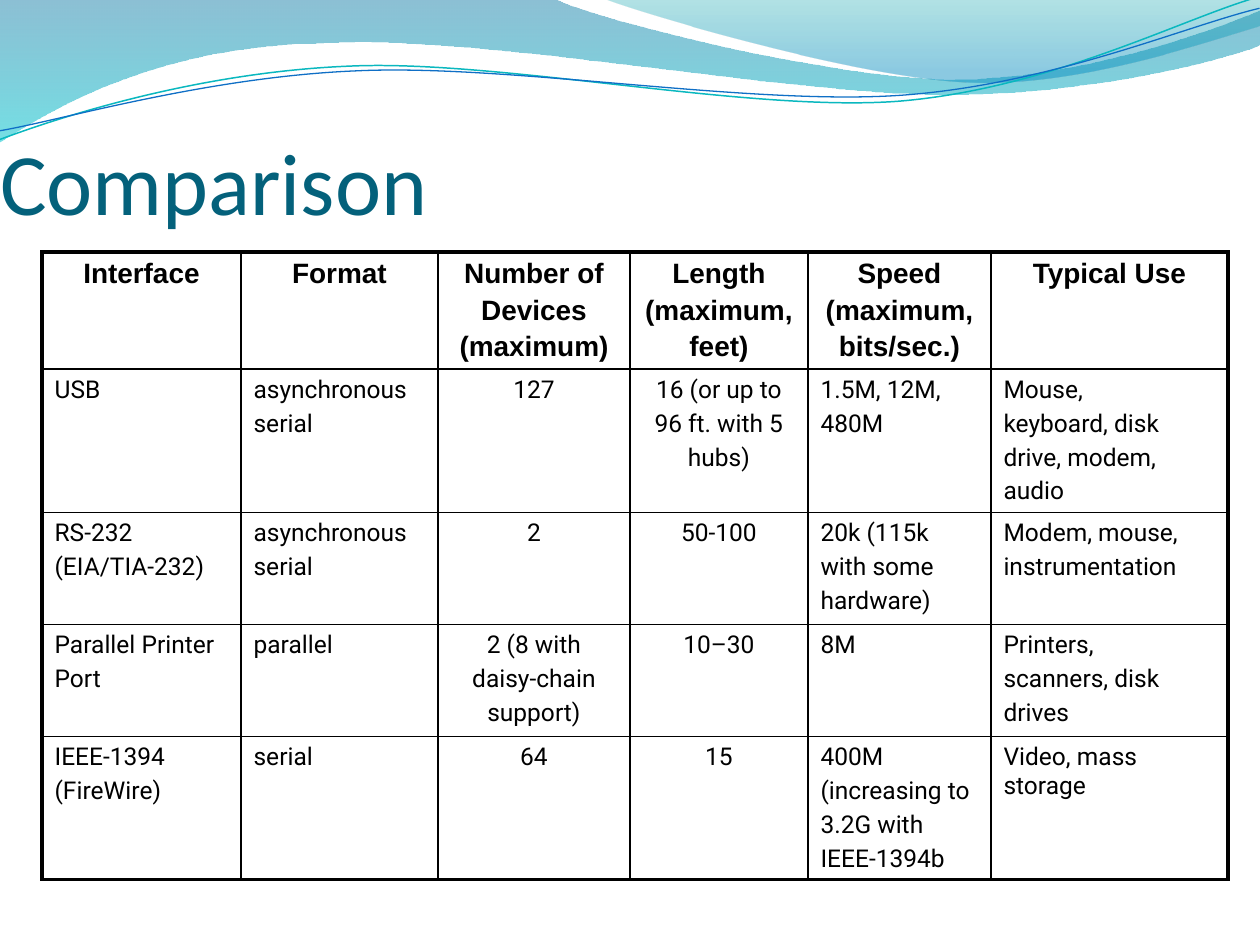
from lxml.etree import SubElement
from math import cos, radians, sin
from pptx import Presentation
from pptx.dml.color import RGBColor
from pptx.enum.text import MSO_ANCHOR, MSO_AUTO_SIZE, PP_ALIGN
from pptx.oxml.ns import qn
from pptx.util import Pt

PX = 914400 / 126
COLORS = {
    "title": "04617B", "ink": "000000", "deep": "0074A1", "aqua": "00C6CF",
    "teal": "00A1A9", "sky": "008BBF", "teal_line": "0AB8BF", "blue_line": "0F6FC6",
}
TILT = 2.7

LOWER_WAVE = [
    (0, 0), (554, -1), (600, 21, 837, 79, 955, 79), (1075, 79, 1207, 33, 1260, 11),
    (1261, 45), (1239, 55, 1096, 96, 940, 94), (784, 94, 481, 35, 324, 43),
    (163, 45, 58, 105, -1, 142), (0, 0),
]
UPPER_WAVE = [
    (604, -1), (641, 14, 859, 78, 969, 82), (1079, 87, 1211, 40, 1260, 26), (1260, 0),
    (604, -1),
]
TEAL_CURVE = [
    (0, 140), (60, 117, 199, 72, 349, 66), (498, 59, 747, 112, 898, 101),
    (1049, 89, 1182, 19, 1257, -3),
]
BLUE_CURVE = [
    (0, 131), (59, 121, 207, 77, 357, 71), (508, 64, 752, 106, 903, 95),
    (1053, 84, 1186, 26, 1260, 8),
]

COLUMN_WIDTHS = [199, 197, 192, 178, 183, 237]
ROW_HEIGHTS = [116, 112, 112, 112, 112]
CENTERED_COLUMNS = (2, 3)
ROWS = [
    ["Interface", "Format", "Number of\nDevices\n(maximum)", "Length\n(maximum,\nfeet)",
     "Speed\n(maximum,\nbits/sec.)", "Typical Use"],
    ["USB", "asynchronous\nserial", "127", "16 (or up to\n96 ft. with 5\nhubs)",
     "1.5M, 12M,\n480M", "Mouse,\nkeyboard, disk\ndrive, modem,\naudio"],
    ["RS-232\n(EIA/TIA-232)", "asynchronous\nserial", "2", "50-100",
     "20k (115k\nwith some\nhardware)", "Modem, mouse,\ninstrumentation"],
    ["Parallel Printer\nPort", "parallel", "2 (8 with\ndaisy-chain\nsupport)", "10–30",
     "8M", "Printers,\nscanners, disk\ndrives"],
    ["IEEE-1394\n(FireWire)", "serial", "64", "15",
     "400M\n(increasing to\n3.2G with\nIEEE-1394b", "Video, mass storage"],
]


def px(length):
    return round(length * PX)


def rgb(name):
    return RGBColor.from_string(COLORS[name])


def turn(points, center, degrees):
    angle = radians(degrees)
    center_x, center_y = center
    return [(center_x + (x - center_x) * cos(angle) - (y - center_y) * sin(angle),
             center_y + (x - center_x) * sin(angle) + (y - center_y) * cos(angle))
            for x, y in points]


class SlideBuilder:
    def __init__(self, slide):
        self.slide = slide

    def style(self, paragraph, font, size, color, align=PP_ALIGN.LEFT, bold=False):
        paragraph.alignment = align
        paragraph.font.name = font
        paragraph.font.size = Pt(size)
        paragraph.font.bold = bold
        paragraph.font.color.rgb = rgb(color)

    def outline(self, segments, close, center=(0, 0), tilt=0):
        points = [pair for segment in segments for pair in zip(segment[::2], segment[1::2])]
        points = turn(points, center, tilt)
        builder = self.slide.shapes.build_freeform(*points[0], scale=PX)
        builder.add_line_segments(points[1:], close=close)
        shape = builder.convert_to_shape()
        shape.shadow.inherit = False
        shape.rotation = -tilt
        outline = next(shape.element.iter(qn("a:pathLst")))[0]
        lines = iter(outline.findall(qn("a:lnTo")))
        for segment in segments[1:]:
            line = next(lines)
            if len(segment) == 6:
                line.tag = qn("a:cubicBezTo")
                for _ in range(2):
                    extra = next(lines)
                    line.append(extra[0])
                    outline.remove(extra)
        return shape

    def wave(self, segments, stops):
        shape = self.outline(segments, True)
        shape.line.fill.background()
        shape.fill.gradient()
        shape.fill.gradient_angle = 270
        for stop, (position, color, _) in zip(shape.fill.gradient_stops, stops):
            stop.position = position
            stop.color.rgb = rgb(color)
        for element, (_, _, opacity) in zip(shape.element.iter(qn("a:srgbClr")), stops):
            SubElement(element, qn("a:alpha"), val=str(opacity * 1000))

    def curve(self, segments, center, color, width):
        shape = self.outline(segments, False, center, TILT)
        shape.fill.background()
        shape.line.color.rgb = rgb(color)
        shape.line.width = Pt(width)

    def title(self, text, left, top, width, height):
        shape = self.slide.shapes.title
        self.slide.shapes.element.append(shape.element)
        shape.left, shape.top, shape.width, shape.height = map(px, (left, top, width, height))
        frame = shape.text_frame
        frame.text = text
        frame.auto_size = MSO_AUTO_SIZE.NONE
        frame.vertical_anchor = MSO_ANCHOR.BOTTOM
        frame.margin_left = frame.margin_right = frame.margin_bottom = 0
        self.style(frame.paragraphs[0], "Calibri", 50, "title")

    def borders(self, cell, widths):
        properties = cell._tc.get_or_add_tcPr()
        for index, (side, width) in enumerate(zip("LRTB", widths)):
            line = SubElement(properties, qn(f"a:ln{side}"), w=str(Pt(width)))
            fill = SubElement(line, qn("a:solidFill"))
            SubElement(fill, qn("a:srgbClr"), val=COLORS["ink"])
            properties.insert(index, line)

    def table(self, rows, left, top, height):
        last_row, last_column = len(rows) - 1, len(rows[0]) - 1
        shape = self.slide.shapes.add_table(
            len(rows), len(rows[0]), px(left), px(top), px(sum(COLUMN_WIDTHS)), px(height))
        table = shape.table
        table.first_row = table.horz_banding = False
        for column, column_width in zip(table.columns, COLUMN_WIDTHS):
            column.width = px(column_width)
        for row, row_height in zip(table.rows, ROW_HEIGHTS):
            row.height = px(row_height)
        shape.height = px(height)
        for r, texts in enumerate(rows):
            header = r == 0
            font, size = ("Arial", 16) if header else ("Roboto", 14)
            for c, text in enumerate(texts):
                cell = table.cell(r, c)
                cell.text = text
                cell.fill.background()
                edges = (c == 0, c == last_column, r == 0, r == last_row)
                self.borders(cell, [2.25 if edge else 1 for edge in edges])
                centered = header or c in CENTERED_COLUMNS
                align = PP_ALIGN.CENTER if centered else PP_ALIGN.LEFT
                for paragraph in cell.text_frame.paragraphs:
                    self.style(paragraph, font, size, "ink", align, header)
                    paragraph.space_before = Pt(0)
                    spacing = paragraph._p.pPr.find(qn("a:spcBef"))
                    spacing.remove(spacing[0])
                    SubElement(spacing, qn("a:spcPct"), val="20000")


def main():
    presentation = Presentation()
    presentation.slide_width, presentation.slide_height = px(1260), px(945)
    builder = SlideBuilder(presentation.slides.add_slide(presentation.slide_layouts[5]))
    builder.wave(LOWER_WAVE, [(0, "deep", 45), (1, "aqua", 55)])
    builder.wave(UPPER_WAVE, [(0, "teal", 30), (0.8, "sky", 45)])
    builder.curve(TEAL_CURVE, (629, 72), "teal_line", 0.85)
    builder.curve(BLUE_CURVE, (629, 74), "blue_line", 0.75)
    builder.title("Comparison", 0, 42, 1134, 191)
    builder.table(ROWS, 42, 252, 648)
    presentation.save("out.pptx")


if __name__ == "__main__":
    main()
